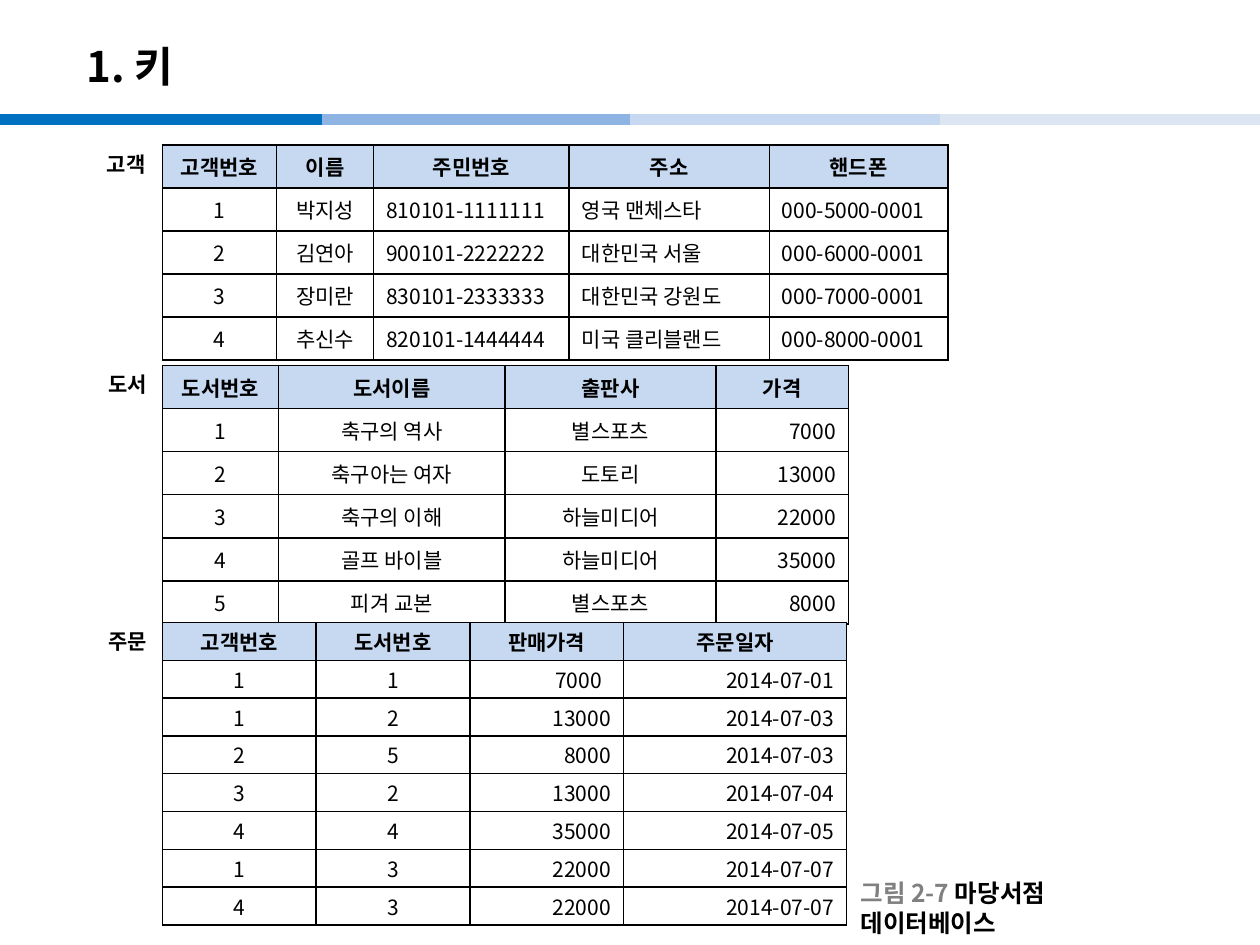
from dataclasses import dataclass

from lxml import etree
from pptx import Presentation
from pptx import util as u
from pptx.dml.color import RGBColor
from pptx.enum import shapes, text
from pptx.oxml import ns

Pt = u.Pt
ALIGN = {"l": text.PP_ALIGN.LEFT, "c": text.PP_ALIGN.CENTER, "r": text.PP_ALIGN.RIGHT}
MID, TOP = text.MSO_ANCHOR.MIDDLE, text.MSO_ANCHOR.TOP


@dataclass(frozen=True)
class Theme:
    """Colours, fonts and type sizes."""
    ink: str = "000000"
    gray: str = "808080"
    head: str = "C6D9F1"
    bars: tuple = ("0070C0", "8EB4E3", "C6D9F1", "DCE6F2")
    font: str = "Noto Sans CJK KR"
    alt: str = "Arial"
    title: int = 24
    note: int = 14
    body: int = 12


@dataclass(frozen=True)
class Grid:
    """One database table with its label."""
    name: str
    left: float
    top: float
    row: float
    pad: float
    anchor: int
    cols: tuple
    align: str
    rows: tuple


T = Theme()
EDGE = 92.9

GRIDS = (
    Grid("도서", 54.7, 208.8, 24.6, 3.6, TOP, (66.2, 129.6, 120.4, 75.8), "cccr", (
        ("도서번호", "도서이름", "출판사", "가격"),
        ("1", "축구의 역사", "별스포츠", "7000"),
        ("2", "축구아는 여자", "도토리", "13000"),
        ("3", "축구의 이해", "하늘미디어", "22000"),
        ("4", "골프 바이블", "하늘미디어", "35000"),
        ("5", "피겨 교본", "별스포츠", "8000"))),
    Grid("고객", 54, 82.8, 24.6, 3.6, TOP, (65.2, 55.4, 111.8, 114.3, 102.2), "cclll", (
        ("고객번호", "이름", "주민번호", "주소", "핸드폰"),
        ("1", "박지성", "810101-1111111", "영국 맨체스타", "000-5000-0001"),
        ("2", "김연아", "900101-2222222", "대한민국 서울", "000-6000-0001"),
        ("3", "장미란", "830101-2333333", "대한민국 강원도", "000-7000-0001"),
        ("4", "추신수", "820101-1444444", "미국 클리블랜드", "000-8000-0001"))),
    Grid("주문", 54.7, 355.7, 21.6, 1, MID, (87.8, 87.8, 87.8, 127.6), "ccrr", (
        ("고객번호", "도서번호", "판매가격", "주문일자"),
        ("1", "1", "7000", "2014-07-01"),
        ("1", "2", "13000", "2014-07-03"),
        ("2", "5", "8000", "2014-07-03"),
        ("3", "2", "13000", "2014-07-04"),
        ("4", "4", "35000", "2014-07-05"),
        ("1", "3", "22000", "2014-07-07"),
        ("4", "3", "22000", "2014-07-07"))),
)


def assign(obj, **vals) -> None:
    """Set each named attribute."""
    for key, val in vals.items():
        setattr(obj, key, val)


def write(par, words: str, size: int, bold=True, color=T.ink, font=T.font) -> None:
    """Add one formatted run to a paragraph."""
    run = par.add_run()
    run.text = words
    assign(run.font, size=Pt(size), bold=bold, name=font)
    run.font.color.rgb = RGBColor.from_string(color)
    east = etree.SubElement(run.font._element, ns.qn("a:ea"))
    east.set("typeface", T.font)


def border(cell) -> None:
    """Draw a thin line on all four sides of a cell."""
    props = cell._tc.get_or_add_tcPr()
    for i, side in enumerate(("lnL", "lnR", "lnT", "lnB")):
        line = etree.Element(ns.qn("a:" + side), w=str(Pt(1)))
        fill = etree.SubElement(line, ns.qn("a:solidFill"))
        etree.SubElement(fill, ns.qn("a:srgbClr"), val=T.ink)
        props.insert(i, line)


def bar(slide, left: float, color: str) -> None:
    """Draw one piece of the rule below the title."""
    line = slide.shapes.add_connector(
        shapes.MSO_CONNECTOR.STRAIGHT, Pt(left), Pt(68.4), Pt(left + 184.3), Pt(68.4))
    line.line.width = Pt(6)
    line.line.color.rgb = RGBColor.from_string(color)
    etree.SubElement(line._element.spPr, ns.qn("a:effectLst"))


def box(slide, left: float, top: float, wide: float, high: float, anchor=TOP):
    """Add an unwrapped text box and return its frame."""
    frame = slide.shapes.add_textbox(Pt(left), Pt(top), Pt(wide), Pt(high)).text_frame
    assign(frame, word_wrap=False, vertical_anchor=anchor)
    return frame


def draw(slide, grid: Grid) -> None:
    """Draw a data table and its label."""
    count = len(grid.rows)
    table = slide.shapes.add_table(
        count, len(grid.cols), Pt(EDGE), Pt(grid.top),
        Pt(sum(grid.cols)), Pt(grid.row * count)).table
    assign(table, first_row=False, horz_banding=False)
    for col, wide in zip(table.columns, grid.cols):
        col.width = Pt(wide)
    for r, row in enumerate(grid.rows):
        table.rows[r].height = Pt(grid.row)
        for c, words in enumerate(row):
            cell = table.cell(r, c)
            assign(cell, margin_top=Pt(grid.pad), margin_bottom=Pt(grid.pad),
                   vertical_anchor=grid.anchor)
            if r == 0:
                cell.fill.solid()
                cell.fill.fore_color.rgb = RGBColor.from_string(T.head)
            else:
                cell.fill.background()
            border(cell)
            par = cell.text_frame.paragraphs[0]
            par.alignment = ALIGN["c" if r == 0 else grid.align[c]]
            write(par, words, T.body, bold=r == 0)
    if grid.name == "주문":
        table.cell(1, 2).margin_right = Pt(12.4)
    frame = box(slide, grid.left, grid.top, 38.9, 21.6)
    frame.auto_size = text.MSO_AUTO_SIZE.SHAPE_TO_FIT_TEXT
    write(frame.paragraphs[0], grid.name, T.body, font=T.alt)


def main() -> None:
    """Build and save the slide."""
    deck = Presentation()
    assign(deck, slide_width=Pt(720), slide_height=Pt(540))
    slide = deck.slides.add_slide(deck.slide_layouts[5])
    for left, color in zip((0, 184.3, 360, 537.1), T.bars):
        bar(slide, left, color)
    title = slide.shapes.title
    assign(title, left=Pt(42.5), top=Pt(15.8), width=Pt(595.4), height=Pt(43.2))
    title.text_frame.vertical_anchor = MID
    par = title.text_frame.paragraphs[0]
    par.alignment = ALIGN["l"]
    write(par, "1. 키", T.title)
    for grid in GRIDS:
        draw(slide, grid)
    note = box(slide, 484.6, 507.6, 147.6, 22.3, MID).paragraphs[0]
    write(note, "그림 2-7 ", T.note, color=T.gray)
    write(note, "마당서점 데이터베이스", T.note)
    deck.save("out.pptx")


main()
